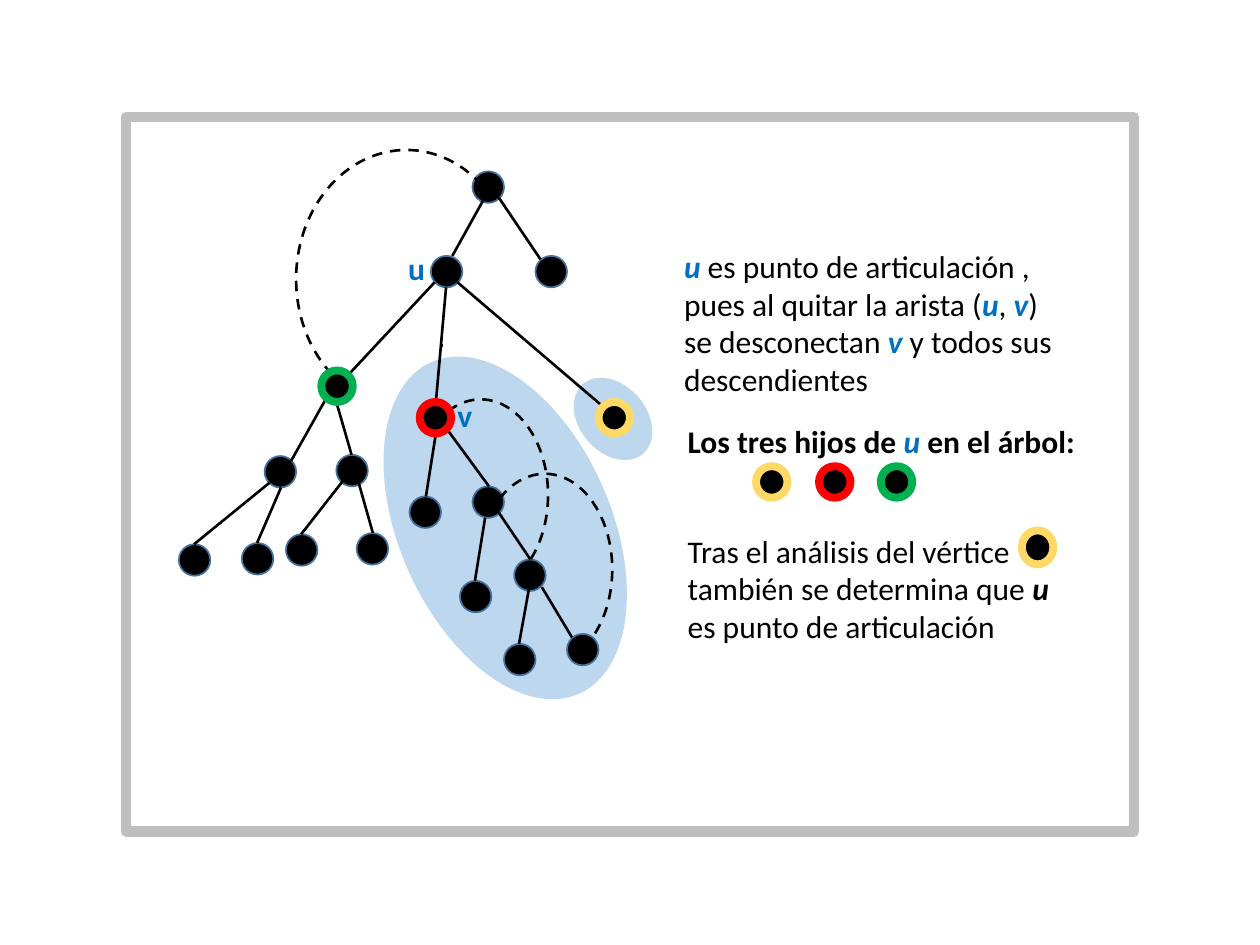
import pptx
import pptx.dml.color
import pptx.enum.dml
import pptx.enum.shapes
import pptx.enum.text
import pptx.oxml
import pptx.util
from dataclasses import dataclass

Pt = pptx.util.Pt
SHAPES = pptx.enum.shapes.MSO_SHAPE


@dataclass(frozen=True)
class Theme:
    font: str = "Calibri"
    text_size: float = 18
    ink: str = "000000"
    accent: str = "0070C0"
    region: str = "BDD7EE"
    node_outline: str = "43739E"
    frame: str = "BFBFBF"
    green: str = "00B050"
    red: str = "FF0000"
    yellow: str = "FFD966"
    edge_width: float = 1.5
    ring_width: float = 4.5
    frame_width: float = 6
    node_size: float = 18


def rgb(color):
    return pptx.dml.color.RGBColor.from_string(color)


class TreeSlide:
    def __init__(self, slide, theme):
        self.slide = slide
        self.theme = theme

    def shape(self, kind, left, top, width, height, fill=None, line=None, line_width=1):
        shape = self.slide.shapes.add_shape(kind, Pt(left), Pt(top), Pt(width), Pt(height))
        shape.shadow.inherit = False
        for part, color in ((shape.fill, fill), (shape.line.fill, line)):
            if color:
                part.solid()
                part.fore_color.rgb = rgb(color)
            else:
                part.background()
        if line:
            shape.line.width = Pt(line_width)
        return shape

    def region(self, left, top, width, height, rotation):
        shape = self.shape(SHAPES.OVAL, left, top, width, height, self.theme.region)
        shape.rotation = rotation

    def node(self, left, top, ring=None, height=None):
        """Draw a vertex, with a thick coloured ring when one is given."""
        size = self.theme.node_size
        self.shape(SHAPES.OVAL, left, top, size, height or size, self.theme.ink,
                   ring or self.theme.node_outline, self.theme.ring_width if ring else 1)

    def edge(self, x1, y1, x2, y2):
        connector = self.slide.shapes.add_connector(
            pptx.enum.shapes.MSO_CONNECTOR.STRAIGHT, Pt(x1), Pt(y1), Pt(x2), Pt(y2))
        connector.line.color.rgb = rgb(self.theme.ink)
        connector.line.width = Pt(self.theme.edge_width)
        connector._element.spPr.append(pptx.oxml.parse_xml(
            '<a:effectLst xmlns:a="http://schemas.openxmlformats.org/drawingml/2006/main"/>'))

    def back_edge(self, left, top, width, height, start, end):
        """Draw a dashed arc clockwise between two angles in degrees."""
        arc = self.shape(SHAPES.ARC, left, top, width, height,
                         line=self.theme.ink, line_width=self.theme.edge_width)
        arc.line.dash_style = pptx.enum.dml.MSO_LINE.DASH
        for index, degrees in enumerate((start, end)):
            arc.adjustments[index] = degrees * 0.6  # 60000 units per degree / 100000

    def text(self, left, top, width, height, *paragraphs):
        """Add a text box; each run is (text, style): b bold, i italic, a accent colour."""
        box = self.slide.shapes.add_textbox(Pt(left), Pt(top), Pt(width), Pt(height))
        frame = box.text_frame
        frame.word_wrap = True
        frame.auto_size = pptx.enum.text.MSO_AUTO_SIZE.SHAPE_TO_FIT_TEXT
        for index, runs in enumerate(paragraphs):
            paragraph = frame.add_paragraph() if index else frame.paragraphs[0]
            for content, style in runs:
                run = paragraph.add_run()
                run.text = content
                run.font.name = self.theme.font
                run.font.size = Pt(self.theme.text_size)
                run.font.bold = "b" in style
                run.font.italic = "i" in style
                run.font.color.rgb = rgb(self.theme.accent if "a" in style else self.theme.ink)


NODES = [
    (270, 97.9), (246.2, 146.2), (306, 146.2),
    (270, 277.9), (293.8, 319.7), (324, 362.2),
    (234, 283.7), (262.8, 331.9), (288, 367.9),
    (151.2, 260.6), (192.2, 259.9),
    (102.2, 311), (138.2, 310.3), (163.4, 305.3), (203.8, 304.6),
]

EDGES = [
    # from the root and u
    (276.5, 113.8, 258.5, 146.2), (285.1, 113, 308.9, 148.3),
    (248.4, 161.3, 198.7, 214.6), (254.9, 164.2, 249.1, 229.7),
    (261.4, 161.3, 344.9, 232.6), (252, 197.3, 253.4, 197.3),
    # below v
    (255.6, 245.5, 279.4, 277.9), (285.1, 293, 303.1, 319.7),
    (309.6, 335.5, 326.9, 364.3), (249.1, 247.7, 243.4, 283.7),
    (277.2, 295.9, 271.4, 331.9), (303.1, 331.9, 296.6, 367.9),
    # below the green child
    (186.5, 227.5, 166.3, 263.5), (192.2, 229.7, 200.9, 259.9),
    (154.1, 275.8, 110.9, 311), (160.6, 278.6, 146.9, 310.3),
    (198, 272.2, 172.1, 305.3), (204.5, 274.3, 213.1, 304.6),
]

BACK_EDGES = [
    (272.9, 270.7, 77, 109.4, 237.32, 64.62),
    (236.2, 228.2, 77, 109.4, 237.32, 56.05),
    (169.2, 85.7, 126, 147.6, 127.99, 309.17),
]


def main():
    presentation = pptx.Presentation()
    presentation.slide_width, presentation.slide_height = Pt(720), Pt(540)
    theme = Theme()
    tree = TreeSlide(presentation.slides.add_slide(presentation.slide_layouts[6]), theme)

    tree.region(331.2, 213.1, 38.2, 52.6, 319.2)
    tree.region(228.2, 198, 121, 207.4, 336)
    for node in NODES:
        tree.node(*node)
    for edge in EDGES:
        tree.edge(*edge)
    tree.text(226.1, 139, 18, 28.8, [("u", "ba")])
    tree.text(254.2, 222.5, 18, 28.8, [("v", "ba")])
    for back_edge in BACK_EDGES:
        tree.back_edge(*back_edge)
    tree.node(183.6, 211.7, theme.green)
    tree.node(239.8, 229.7, theme.red)
    tree.node(342, 229.7, theme.yellow)
    tree.shape(SHAPES.RECTANGLE, 72, 67, 576, 408.2,
               line=theme.frame, line_width=theme.frame_width)

    tree.text(383.8, 137.5, 228.2, 94.3, [
        ("u ", "bia"), ("es punto de articulación , pues al quitar la arista (", ""),
        ("u", "bia"), (", ", ""), ("v", "bia"), (") se desconectan ", ""),
        ("v", "bia"), (" y todos sus descendientes", "")])
    for left, ring in ((432, theme.yellow), (468, theme.red), (503.3, theme.green)):
        tree.node(left, 266.4, ring)
    tree.text(385.9, 237.6, 264.2, 28.8, [
        ("Los tres hijos de ", "b"), ("u", "bia"), (" en el árbol:", "b")])
    tree.text(385.9, 300.2, 228.2, 72.7,
              [("Tras el análisis del vértice", "")],
              [("también se determina que ", ""), ("u ", "bi"), ("es punto de articulación", "")])
    tree.node(583.9, 303.1, theme.yellow, height=19.4)

    presentation.save("out.pptx")


if __name__ == "__main__":
    main()
